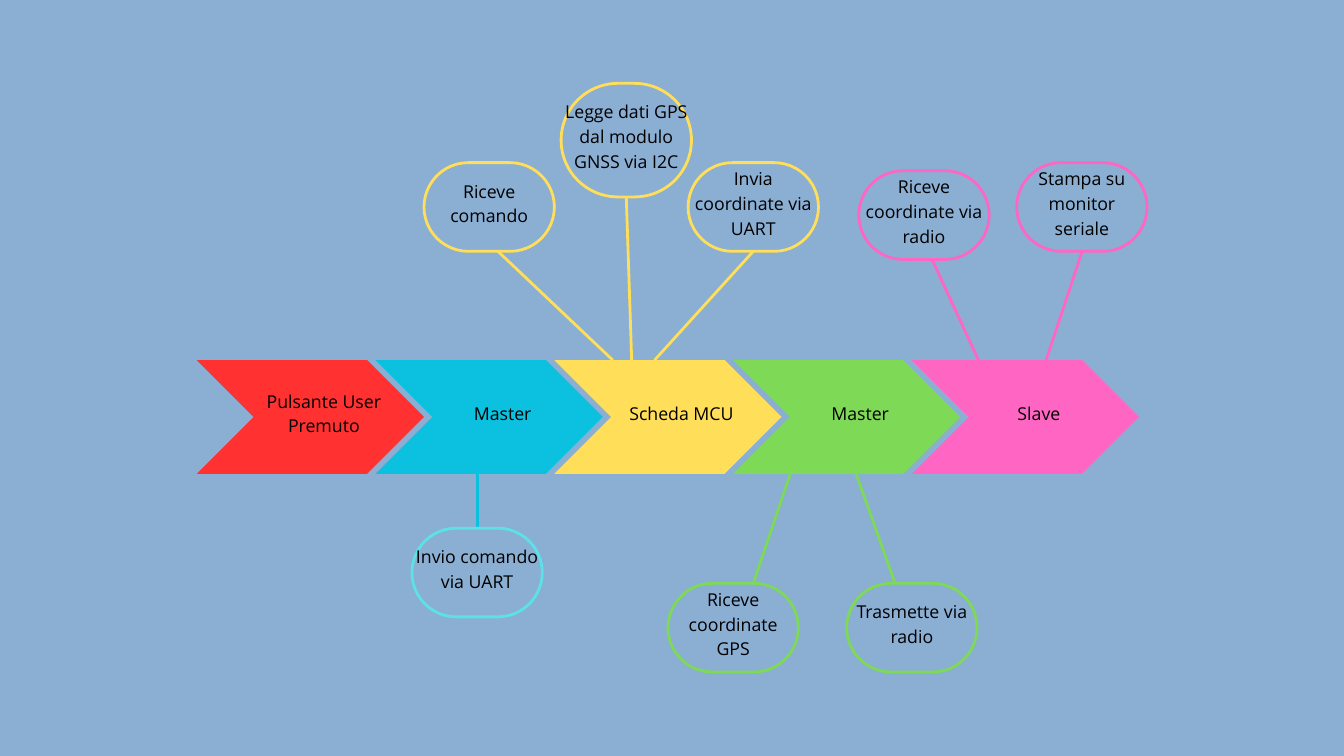
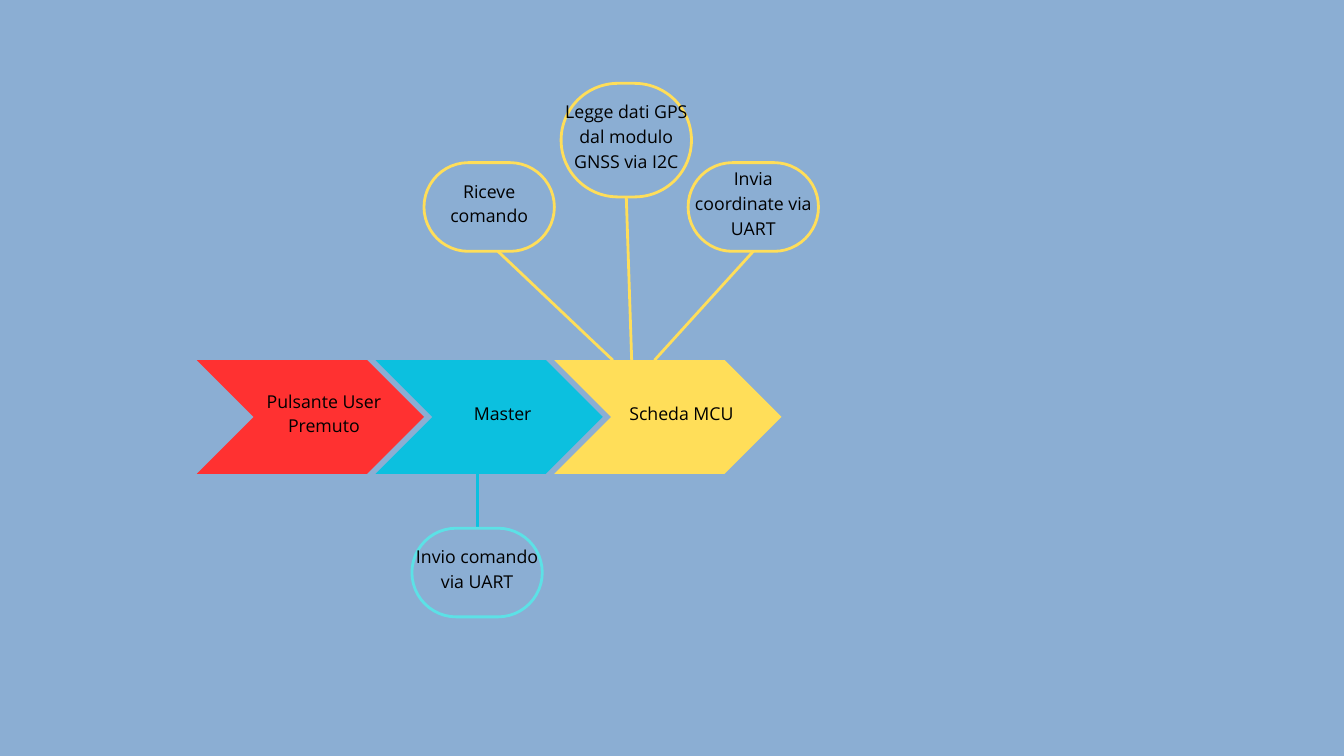
import pptx
import pptx.util
import pptx.dml.color
import pptx.enum.shapes
import pptx.enum.text
import pptx.oxml
import pptx.oxml.ns
from dataclasses import dataclass

Inches = pptx.util.Inches
Pt = pptx.util.Pt
MSO_SHAPE = pptx.enum.shapes.MSO_SHAPE


@dataclass(frozen=True)
class Theme:
    background: str = "8BAED3"
    text: str = "000000"
    red: str = "FF3131"
    blue: str = "0CC0DF"
    aqua: str = "5CE1E6"
    yellow: str = "FFDE59"
    green: str = "7ED957"
    pink: str = "FF66C4"
    font: str = "Open Sans"
    size: float = 19
    leading: float = 26.6
    line: float = 3


THEME = Theme()

# Geometry in inches: a row of equally spaced chevrons, notes around it
ROW_LEFT, ROW_TOP, PITCH = 2.93, 5.36, 2.66
STEP_W, STEP_H = 3.38, 1.69
LABEL_INDENT, LABEL_W = 0.73, 2.32
LABEL_RISE = 0.16
NOTE_W, NOTE_H = 1.94, 1.32
INSET = 0.06

# Steps: text, colour
STEPS = [
    ("Pulsante User Premuto", THEME.red),
    ("Master", THEME.blue),
    ("Scheda MCU", THEME.yellow),
    ("Master", THEME.green),
    ("Slave", THEME.pink),
]

# Notes: step index, text, left, top, height, outline, link start, link end
NOTES = [
    (1, "Invio comando via UART", 6.13, 7.86, NOTE_H, THEME.aqua,
     (7.1, 7.05), (7.1, 7.86)),
    (2, "Riceve comando", 6.31, 2.42, NOTE_H, THEME.yellow,
     (9.12, 5.36), (7.41, 3.74)),
    (2, "Legge dati GPS dal modulo GNSS via I2C", 8.35, 1.24, STEP_H, THEME.yellow,
     (9.4, 5.36), (9.32, 2.93)),
    (2, "Invia coordinate via UART", 10.24, 2.42, NOTE_H, THEME.yellow,
     (9.74, 5.36), (11.21, 3.74)),
    (3, "Riceve coordinate GPS", 9.94, 8.68, NOTE_H, THEME.green,
     (11.76, 7.05), (11.21, 8.68)),
    (3, "Trasmette via radio", 12.6, 8.68, NOTE_H, THEME.green,
     (12.74, 7.05), (13.32, 8.68)),
    (4, "Riceve coordinate via radio", 12.78, 2.54, NOTE_H, THEME.pink,
     (14.57, 5.38), (13.87, 3.86)),
    (4, "Stampa su monitor seriale", 15.13, 2.42, NOTE_H, THEME.pink,
     (15.56, 5.38), (16.1, 3.75)),
]


def rgb(value):
    return pptx.dml.color.RGBColor.from_string(value)


class Deck:
    def __init__(self, prs, theme):
        self.prs = prs
        self.theme = theme
        self.slide = None

    def new_slide(self):
        self.slide = self.prs.slides.add_slide(self.prs.slide_layouts[6])
        fill = self.slide.background.fill
        fill.solid()
        fill.fore_color.rgb = rgb(self.theme.background)

    def label(self, group, text, left, top, width, height):
        """Centred text, lifted slightly above the middle of its shape."""
        box = group.shapes.add_textbox(Inches(left), Inches(top - LABEL_RISE),
                                       Inches(width), Inches(height + LABEL_RISE))
        tf = box.text_frame
        tf.word_wrap = True
        tf.vertical_anchor = pptx.enum.text.MSO_ANCHOR.MIDDLE
        tf.margin_left = tf.margin_right = Inches(INSET)
        tf.margin_top = tf.margin_bottom = Inches(INSET)
        tf.text = text
        p = tf.paragraphs[0]
        p.alignment = pptx.enum.text.PP_ALIGN.CENTER
        p.line_spacing = Pt(self.theme.leading)
        font = p.runs[0].font
        font.name = self.theme.font
        font.size = Pt(self.theme.size)
        font.color.rgb = rgb(self.theme.text)

    def step(self, index, text, color):
        left = ROW_LEFT + index * PITCH
        group = self.slide.shapes.add_group_shape()
        sp = group.shapes.add_shape(MSO_SHAPE.CHEVRON, Inches(left), Inches(ROW_TOP),
                                    Inches(STEP_W), Inches(STEP_H))
        sp.shadow.inherit = False
        sp.fill.solid()
        sp.fill.fore_color.rgb = rgb(color)
        sp.line.fill.background()
        self.label(group, text, left + LABEL_INDENT, ROW_TOP, LABEL_W, STEP_H)

    def note(self, text, left, top, height, color):
        group = self.slide.shapes.add_group_shape()
        sp = group.shapes.add_shape(MSO_SHAPE.ROUNDED_RECTANGLE, Inches(left),
                                    Inches(top), Inches(NOTE_W), Inches(height))
        sp.adjustments[0] = 0.5
        sp.shadow.inherit = False
        sp.fill.background()
        sp.line.color.rgb = rgb(color)
        sp.line.width = Pt(self.theme.line)
        self.label(group, text, left, top, NOTE_W, height)

    def link(self, start, end, color):
        ends = [Inches(value) for value in (*start, *end)]
        line = self.slide.shapes.add_connector(
            pptx.enum.shapes.MSO_CONNECTOR.STRAIGHT, *ends)
        line.line.color.rgb = rgb(color)
        line.line.width = Pt(self.theme.line)
        # An empty effect list removes the theme shadow
        props = line._element.spPr
        props.append(pptx.oxml.parse_xml(
            "<a:effectLst %s/>" % pptx.oxml.ns.nsdecls("a")))

    def flow(self, count):
        """Draw the first steps of the flow with the notes that belong to them."""
        self.new_slide()
        for index, (text, color) in enumerate(STEPS[:count]):
            self.step(index, text, color)
        for owner, text, left, top, height, color, start, end in NOTES:
            if owner < count:
                self.link(start, end, STEPS[owner][1])
                self.note(text, left, top, height, color)


def main():
    prs = pptx.Presentation()
    prs.slide_width = Inches(20)
    prs.slide_height = Inches(11.25)
    deck = Deck(prs, THEME)

    # The whole flow, then its first part up to the board
    deck.flow(len(STEPS))
    deck.flow(3)

    prs.save("out.pptx")


if __name__ == "__main__":
    main()
